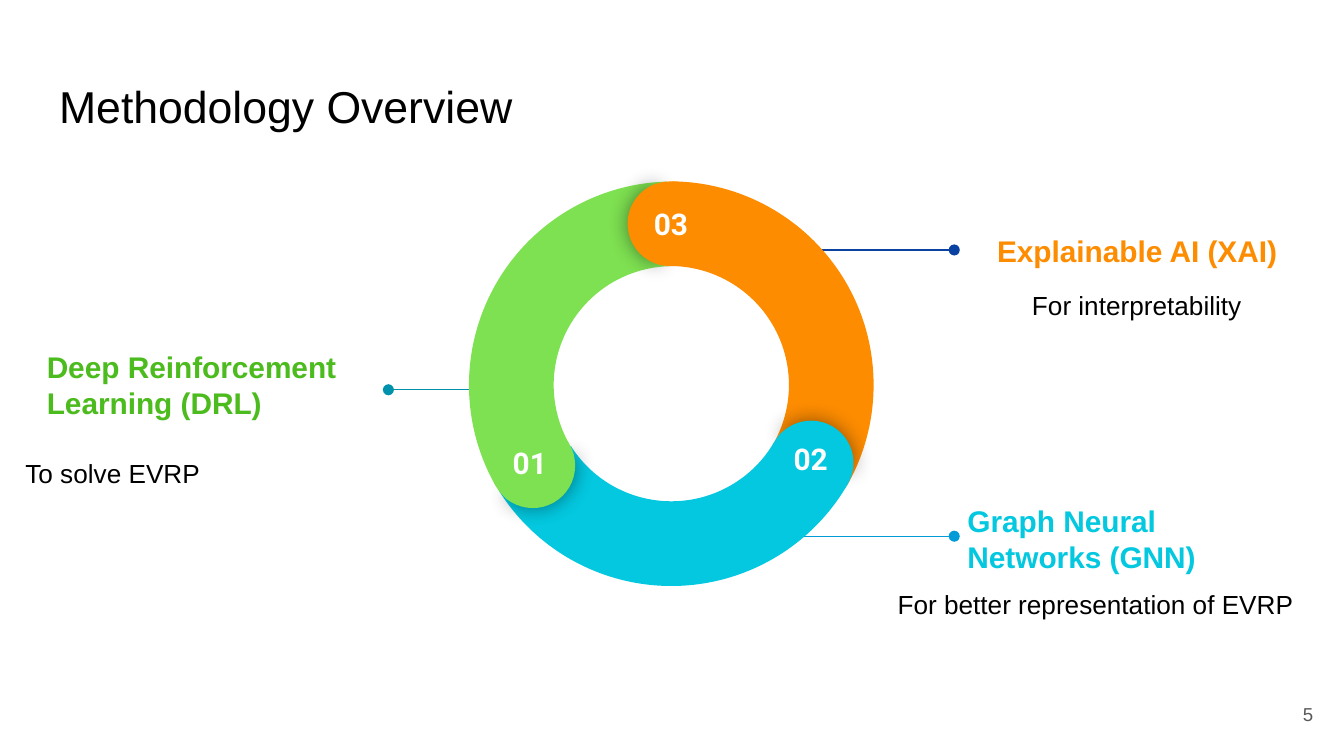
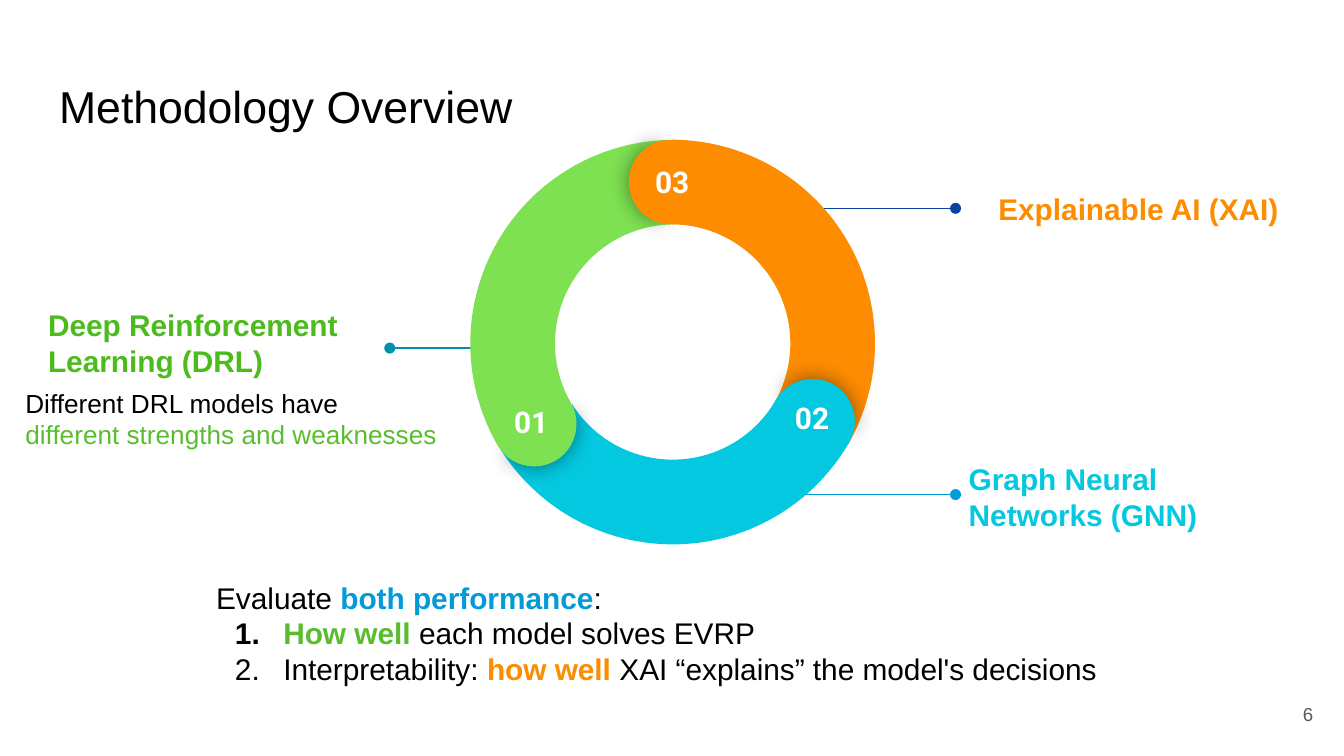
from lxml import etree
from pptx import Presentation
from pptx.dml.color import RGBColor
from pptx.enum.shapes import MSO_CONNECTOR as Connector, MSO_SHAPE as Shape
from pptx.enum.text import MSO_ANCHOR as Anchor, MSO_AUTO_SIZE as AutoSize, PP_ALIGN as Align
from pptx.oxml.ns import qn
from pptx.util import Inches, Pt

BLACK, WHITE, GREY = "000000", "FFFFFF", "595959"
ORANGE, CYAN, GREEN = "FD8C00", "03C8DF", "7EE151"
HEADING_GREEN, ACCENT_GREEN = "4CBB1D", "59BD2F"
NAVY, BLUE, TEAL = "0942A1", "029BD8", "0091AC"

RING_SIZE, CAP_SIZE = 3.03, 0.63
RING_THICKNESS = CAP_SIZE / RING_SIZE

# text, colour, left, top, width, height, bottom inset
HEADINGS = [
    ("Deep Reinforcement Learning (DRL)", HEADING_GREEN, 0.25, 2.22, 2.66, 1.54, 0.36),
    ("Explainable AI (XAI)", ORANGE, 7.32, 1.16, 2.32, 1.41, 0.1),
    ("Graph Neural Networks (GNN)", CYAN, 7.1, 3.3, 2.54, 1.41, 0.1),
]
# colour, start x, end x, y
POINTERS = [(TEAL, 3.58, 2.89, 2.9), (NAVY, 5.7, 7.1, 1.86), (BLUE, 5.7, 7.1, 3.99)]
# colour, left, top, rotation, arc end
ARCS = [
    (ORANGE, 3.47, 1.35, 60, 197.82),
    (CYAN, 3.48, 1.33, 180, 196.63),
    (GREEN, 3.49, 1.35, 300, 197.03),
]
# colour, left, top, rotation
CAPS = [(GREEN, 3.65, 3.15, 240), (ORANGE, 4.67, 1.35, 0), (CYAN, 5.72, 3.13, 120)]
NUMBERS = [("03 ", 4.74, 1.43), ("01 ", 3.69, 3.21), ("02 ", 5.78, 3.18)]


def rgb(colour):
    return RGBColor.from_string(colour)


def add_xml(parent, tag, **attributes):
    return etree.SubElement(parent, qn(tag), attributes)


class Deck:
    def __init__(self):
        self.deck = Presentation()
        self.deck.slide_width = Inches(10)
        self.deck.slide_height = Inches(10) * 9 // 16
        self.page = None

    def new_page(self, title, number):
        self.page = self.deck.slides.add_slide(self.deck.slide_layouts[5])
        box = self.page.shapes.title
        box.left, box.top, box.width, box.height = map(Inches, (0.34, 0.49, 9.32, 0.63))
        self.fill_text(box, [[(title, BLACK, False)]], 23.9)
        self.text([[(str(number), GREY, False)]], 9.27, 5.1, 0.6, 0.43,
                  10, Anchor.MIDDLE, Align.RIGHT)

    def fill_text(self, box, paragraphs, size, anchor=Anchor.TOP, align=Align.LEFT,
                  font="Arial", bottom=0.1):
        """Write paragraphs, each a list of (text, colour, bold) spans."""
        frame = box.text_frame
        frame.word_wrap = True
        frame.auto_size = AutoSize.NONE
        frame.vertical_anchor = anchor
        frame.margin_left = frame.margin_right = frame.margin_top = Inches(0.1)
        frame.margin_bottom = Inches(bottom)
        for index, spans in enumerate(paragraphs):
            para = frame.add_paragraph() if index else frame.paragraphs[0]
            para.alignment = align
            para.font.size, para.font.name = Pt(size), font
            for text, colour, bold in spans:
                span = para.add_run()
                span.text = text
                span.font.color.rgb = rgb(colour)
                span.font.bold = bold

    def text(self, paragraphs, left, top, width, height, size, *style, **options):
        box = self.page.shapes.add_textbox(*map(Inches, (left, top, width, height)))
        self.fill_text(box, paragraphs, size, *style, **options)
        return box

    def body(self, paragraphs, left, top, width, height, size=14):
        box = self.text(paragraphs, left, top, width, height, size)
        box.text_frame.auto_size = AutoSize.SHAPE_TO_FIT_TEXT
        return box

    def number_list(self, paragraphs):
        for para in paragraphs:
            props = para._p.get_or_add_pPr()
            props.set("marL", str(Inches(0.5)))
            props.set("indent", str(Inches(-0.36)))
            add_xml(add_xml(props, "a:buClr"), "a:srgbClr", val=BLACK)
            add_xml(props, "a:buAutoNum", type="arabicPeriod")

    def pointer(self, colour, start, end, y):
        line = self.page.shapes.add_connector(
            Connector.STRAIGHT, Inches(start), Inches(y), Inches(end), Inches(y))
        line.line.color.rgb = rgb(colour)
        line.line.width = Pt(0.75)
        add_xml(line.line._get_or_add_ln(), "a:tailEnd", type="oval")
        add_xml(line._element.spPr, "a:effectLst")

    def round_part(self, kind, colour, left, top, size, rotation, adjustments):
        part = self.page.shapes.add_shape(kind, *map(Inches, (left, top, size, size)))
        part.shadow.inherit = False
        part.fill.solid()
        part.fill.fore_color.rgb = rgb(colour)
        part.line.fill.background()
        part.rotation = rotation
        for index, value in enumerate(adjustments):
            part.adjustments[index] = value
        return part

    def cap(self, colour, left, top, rotation):
        """Round off an arc: a shaded outer half under a plain inner half."""
        outer = self.round_part(Shape.PIE, colour, left, top, CAP_SIZE,
                                rotation + 0.7, (61.9, 149.96))
        effects = outer._element.spPr.find(qn("a:effectLst"))
        shadow = add_xml(effects, "a:outerShdw", blurRad=str(Pt(11.2)), dist="0",
                         dir="0", algn="ctr", rotWithShape="0")
        add_xml(add_xml(shadow, "a:srgbClr", val=BLACK), "a:alpha", val="43000")
        self.round_part(Shape.PIE, colour, left, top, CAP_SIZE,
                        (rotation + 180) % 360, (40.28, 171.84))

    def ring_diagram(self, dx=0, dy=0):
        for text, colour, left, top, width, height, bottom in HEADINGS:
            self.text([[(text, colour, True)]], left + dx, top + dy, width, height,
                      16, Anchor.MIDDLE, bottom=bottom)
        for colour, start, end, y in POINTERS:
            self.pointer(colour, start + dx, end + dx, y + dy)
        for colour, left, top, rotation, arc_end in ARCS:
            self.round_part(Shape.BLOCK_ARC, colour, left + dx, top + dy, RING_SIZE,
                            rotation, (126.23, arc_end, RING_THICKNESS))
        for colour, left, top, rotation in CAPS:
            self.cap(colour, left + dx, top + dy, rotation)
        for number, left, top in NUMBERS:
            self.text([[(number, WHITE, True)]], left + dx, top + dy, 0.56, 0.29,
                      16, align=Align.CENTER, font="Roboto")


def main():
    deck = Deck()

    deck.new_page("Methodology Overview", 5)
    deck.ring_diagram()
    for purpose, left, top, width in [
        ("To solve EVRP", 0.09, 3.3, 3.28),
        ("For better representation of EVRP", 6.58, 4.28, 3.28),
        ("For interpretability", 7.58, 2.05, 2.42),
    ]:
        deck.body([[(purpose, BLACK, False)]], left, top, width, 0.44)

    deck.new_page("Methodology Overview", 6)
    deck.ring_diagram(0.01, -0.31)
    deck.body([[("Different DRL models have ", BLACK, False),
                ("different strengths and weaknesses", ACCENT_GREEN, False)]],
              0.09, 2.78, 3.28, 0.67)
    evaluation = deck.body([
        [("Evaluate ", BLACK, False), ("both performance", BLUE, True), (":", BLACK, False)],
        [("How well ", ACCENT_GREEN, True), ("each model solves EVRP", BLACK, False)],
        [("Interpretability: ", BLACK, False), ("how well ", ORANGE, True),
         ("XAI “explains” the model's decisions", BLACK, False)],
    ], 1.51, 4.21, 7.01, 1.01, 16)
    deck.number_list(evaluation.text_frame.paragraphs[1:])

    deck.deck.save("out.pptx")


if __name__ == "__main__":
    main()
